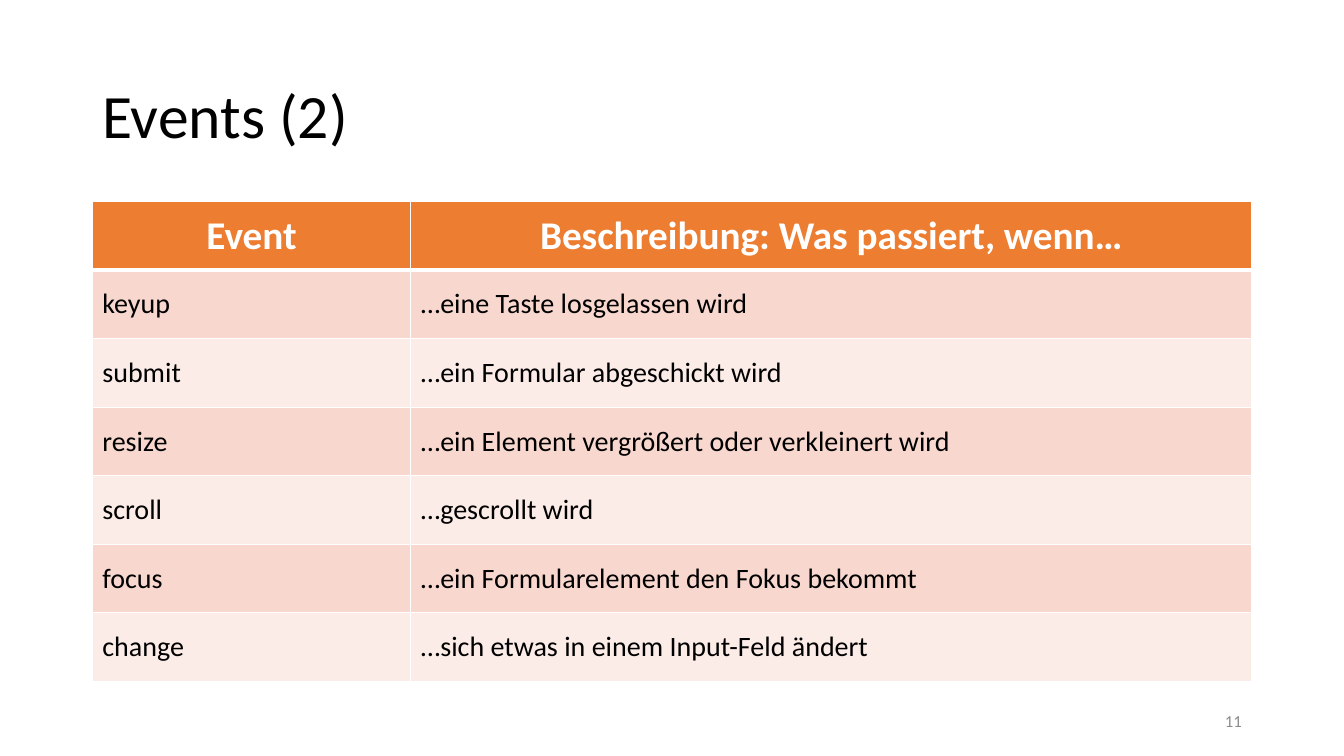
from lxml import etree
from pptx import Presentation
from pptx.dml.color import RGBColor
from pptx.enum import text
from pptx.oxml import ns
from pptx.util import Inches, Pt

BLACK = RGBColor(0x00, 0x00, 0x00)
WHITE = RGBColor(0xFF, 0xFF, 0xFF)
GRAY = RGBColor(0x8C, 0x8C, 0x8C)
ORANGE = RGBColor(0xED, 0x7D, 0x31)
BANDS = [RGBColor(0xF8, 0xD7, 0xCE), RGBColor(0xFC, 0xEC, 0xE8)]

SLIDE_WIDTH, WIDTH = 13.33, 11.5
LEFT = (SLIDE_WIDTH - WIDTH) / 2
ROW_HEIGHT = 0.68
COL_WIDTHS = [3.16, 8.34]
ROWS = [
    ("Event", "Beschreibung: Was passiert, wenn…"),
    ("keyup", "…eine Taste losgelassen wird"),
    ("submit", "…ein Formular abgeschickt wird"),
    ("resize", "…ein Element vergrößert oder verkleinert wird"),
    ("scroll", "…gescrollt wird"),
    ("focus", "…ein Formularelement den Fokus bekommt"),
    ("change", "…sich etwas in einem Input-Feld ändert"),
]


def write(tf, words, size, color, align=text.PP_ALIGN.LEFT, bold=False):
    tf.word_wrap = True
    p = tf.paragraphs[0]
    p.alignment = align
    r = p.add_run()
    r.text = words
    r.font.name = "Calibri"
    r.font.size = Pt(size)
    r.font.bold = bold
    r.font.color.rgb = color
    return p


def add_border(cell, side, points):
    tc_pr = cell._tc.get_or_add_tcPr()
    ln = etree.SubElement(tc_pr, ns.qn("a:" + side), w=str(Pt(points)))
    fill = etree.SubElement(ln, ns.qn("a:solidFill"))
    etree.SubElement(fill, ns.qn("a:srgbClr"), val=str(WHITE))


prs = Presentation()
prs.slide_width, prs.slide_height = Inches(SLIDE_WIDTH), Inches(7.5)
s = prs.slides.add_slide(prs.slide_layouts[6])

# Title
title = s.shapes.add_textbox(Inches(LEFT), Inches(0.5), Inches(WIDTH), Inches(1.35))
title.text_frame.vertical_anchor = text.MSO_ANCHOR.MIDDLE
write(title.text_frame, "Events (2)", 44, BLACK).line_spacing = 0.9

# Slide number, flush with the right edge of the table
number = s.shapes.add_textbox(Inches(LEFT + WIDTH - 3), Inches(6.95), Inches(3), Inches(0.4))
number.text_frame.vertical_anchor = text.MSO_ANCHOR.MIDDLE
write(number.text_frame, "11", 12, GRAY, text.PP_ALIGN.RIGHT)

# Event table
frame = s.shapes.add_table(len(ROWS), len(COL_WIDTHS), Inches(LEFT), Inches(2),
                           Inches(WIDTH), Inches(ROW_HEIGHT * len(ROWS)))
table = frame.table
for column, width in zip(table.columns, COL_WIDTHS):
    column.width = Inches(width)

for i, row in enumerate(ROWS):
    table.rows[i].height = Inches(ROW_HEIGHT)
    for j, words in enumerate(row):
        cell = table.cell(i, j)
        cell.vertical_anchor = text.MSO_ANCHOR.MIDDLE
        # A thicker line separates the header from the body
        for side in ("lnL", "lnR", "lnT", "lnB"):
            thick = (i, side) in [(0, "lnB"), (1, "lnT")]
            add_border(cell, side, 3 if thick else 1)
        cell.fill.solid()
        if i == 0:
            cell.fill.fore_color.rgb = ORANGE
            write(cell.text_frame, words, 28, WHITE, text.PP_ALIGN.CENTER, True)
        else:
            cell.fill.fore_color.rgb = BANDS[(i - 1) % 2]
            write(cell.text_frame, words, 20, BLACK)

prs.save("out.pptx")
